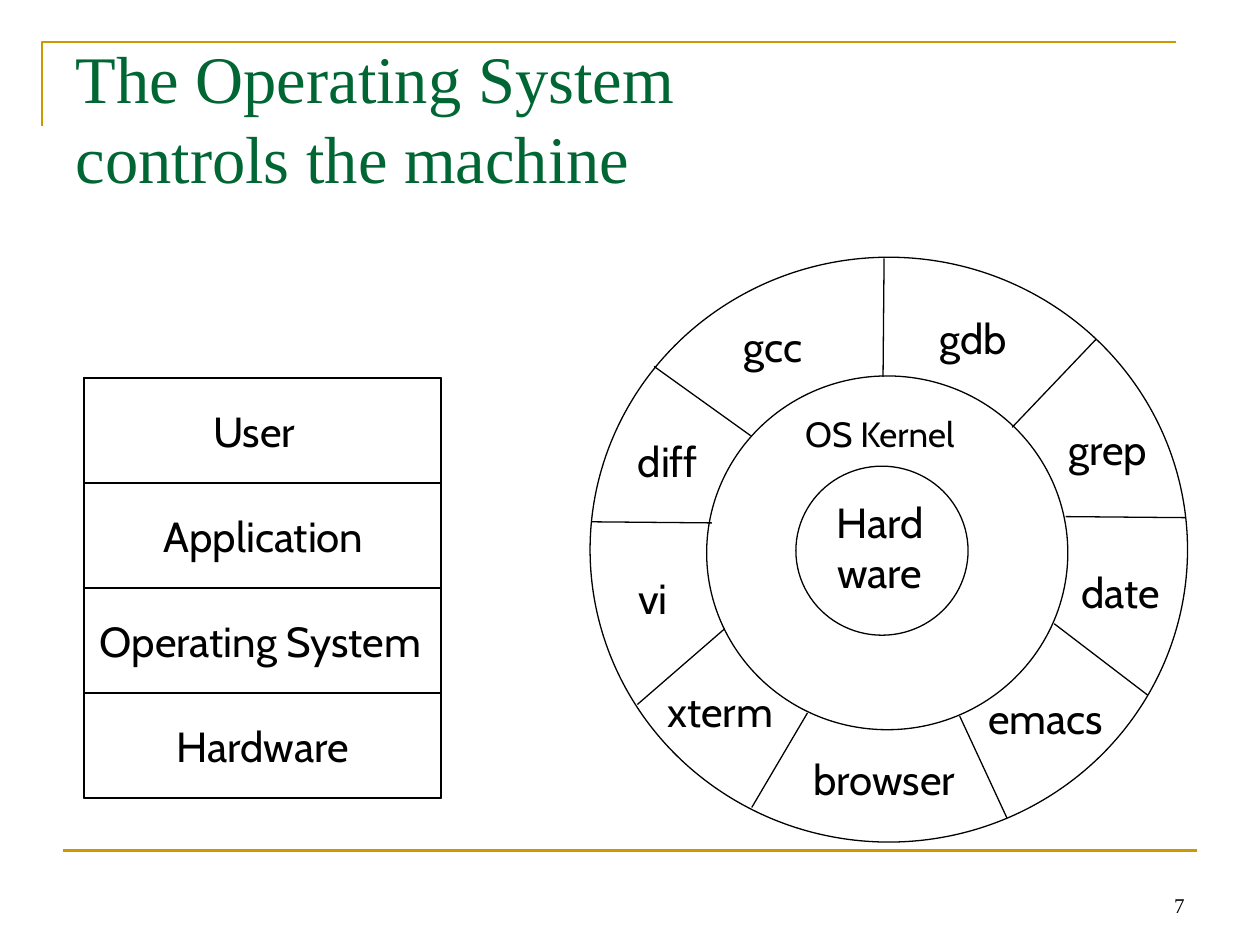
from lxml.etree import SubElement
from pptx import Presentation
from pptx.dml.color import RGBColor
from pptx.enum.shapes import MSO_CONNECTOR, MSO_SHAPE
from pptx.enum.text import MSO_ANCHOR, PP_ALIGN
from pptx.oxml.ns import qn
from pptx.util import Inches, Pt

COLORS = {name: RGBColor.from_string(value) for name, value in {
    "ink": "000000", "title": "006633", "rule": "CC9900"}.items()}

presentation = Presentation()
presentation.slide_width, presentation.slide_height = Inches(10), Inches(7.5)
slide = presentation.slides.add_slide(presentation.slide_layouts.get_by_name("Title Only"))
CELL = presentation.slide_width / 60  # the grid has 60 columns and 45 rows


def style_outline(shape, color="ink", width=0.75):
    """Draw the outline only: no fill and no shadow."""
    shape.line.color.rgb = COLORS[color]
    shape.line.width = Pt(width)
    if hasattr(shape, "fill"):
        shape.fill.background()
        shape.shadow.inherit = False
    else:
        SubElement(shape._element.spPr, qn("a:effectLst"))


def add_label(lines, center_x, center_y, width, height=3, size=24):
    """Centre unwrapped lines of text on a point of the grid."""
    box = slide.shapes.add_textbox(
        *(round(n * CELL) for n in (center_x - width / 2, center_y - height / 2, width, height)))
    frame = box.text_frame
    frame.word_wrap = False
    for index, line in enumerate(lines):
        paragraph = frame.add_paragraph() if index else frame.paragraphs[0]
        paragraph.alignment = PP_ALIGN.CENTER
        run = paragraph.add_run()
        run.text = line
        run.font.name, run.font.size = "Cabin", Pt(size)
        run.font.color.rgb = COLORS["ink"]


# Rules around the slide
corner = slide.shapes.build_freeform(2.5, 5.5, scale=CELL)
corner.add_line_segments([(2.5, 1.5), (56.5, 1.5)], close=False)
style_outline(corner.convert_to_shape(), "rule", 1.5)
bottom_rule = slide.shapes.add_connector(
    MSO_CONNECTOR.STRAIGHT, *(round(n * CELL) for n in (3, 40.5, 57, 40.5)))
style_outline(bottom_rule, "rule", 1.5)

# Slide number
number_box = slide.shapes.add_textbox(*(round(n * CELL) for n in (43, 41, 14, 3)))
number_box.text_frame.word_wrap = True
number_box.text_frame.vertical_anchor = MSO_ANCHOR.BOTTOM
paragraph = number_box.text_frame.paragraphs[0]
paragraph.alignment = PP_ALIGN.RIGHT
run = paragraph.add_run()
run.text = "7"
run.font.name, run.font.size = "Times New Roman", Pt(12)
run.font.color.rgb = COLORS["ink"]

# Title
title = slide.shapes.title
title.left, title.top, title.width, title.height = (
    round(n * CELL) for n in (3, 1.8, 54, 7.5))
title.text_frame.vertical_anchor = MSO_ANCHOR.MIDDLE
paragraph = title.text_frame.paragraphs[0]
paragraph.alignment = PP_ALIGN.LEFT
for index, line in enumerate(["The Operating System ", "controls the machine"]):
    if index:
        paragraph.add_line_break()
    run = paragraph.add_run()
    run.text = line
    run.font.name, run.font.size = "Times New Roman", Pt(38)
    run.font.color.rgb = COLORS["title"]

# Stack of layers: name, label centre, label width
layers = [("User", 12.1, 5.6), ("Application", 12.55, 11.7),
          ("Operating System", 12.4, 18.05), ("Hardware", 12.5, 10.5)]
STACK_LEFT, STACK_TOP, STACK_WIDTH, LAYER_HEIGHT = 4, 18, 17, 5
stack = slide.shapes.add_group_shape()
frames = [(STACK_TOP, LAYER_HEIGHT * len(layers))]
frames += [(STACK_TOP + LAYER_HEIGHT * row, LAYER_HEIGHT) for row in range(len(layers))]
for top, height in frames:
    style_outline(stack.shapes.add_shape(
        MSO_SHAPE.RECTANGLE,
        *(round(n * CELL) for n in (STACK_LEFT, top, STACK_WIDTH, height))))
for row, (name, center_x, width) in enumerate(layers):
    add_label([name], center_x, STACK_TOP + LAYER_HEIGHT * (row + 0.5), width)

# Rings: programs, kernel, hardware
for ring in [(28.1, 12.25, 28.45, 27.85), (33.65, 17.9, 17.2, 16.85), (37.9, 22.2, 8.2, 8.05)]:
    style_outline(slide.shapes.add_shape(MSO_SHAPE.OVAL, *(round(n * CELL) for n in ring)))
add_label(["OS Kernel"], 41.9, 20.65, 8.95, height=2.65, size=20)
add_label(["Hard", "ware"], 41.9, 26.05, 5.8, height=5.4)

# Spokes between the programs, clockwise from the top
spokes = [
    (42.1, 12.3, 42.05, 17.95), (52.2, 16.15, 48.2, 20.35), (50.75, 24.6, 56.45, 24.65),
    (50.2, 29.7, 54.65, 33.1), (45.7, 34.1, 47.95, 38.95), (38.45, 33.95, 35.8, 38.45),
    (34.5, 29.95, 30.35, 33.55), (28.2, 24.85, 33.9, 24.9), (31.15, 17.45, 35.75, 20.75)]
for spoke in spokes:
    style_outline(slide.shapes.add_connector(
        MSO_CONNECTOR.STRAIGHT, *(round(n * CELL) for n in spoke)))

# Programs in the outer ring: name, label centre, label width
programs = [
    ("gdb", 46.35, 16.1, 4.85), ("grep", 52.75, 21.35, 5.6), ("date", 53.35, 28.2, 5.4),
    ("emacs", 49.8, 34.2, 7.2), ("browser", 42.1, 37.1, 9.65), ("xterm", 34.3, 33.85, 6.8),
    ("vi", 31.1, 28.45, 2.7), ("diff", 31.8, 21.95, 4.3), ("gcc", 36.8, 16.45, 4.3)]
for name, center_x, center_y, width in programs:
    add_label([name], center_x, center_y, width)

presentation.save("out.pptx")
